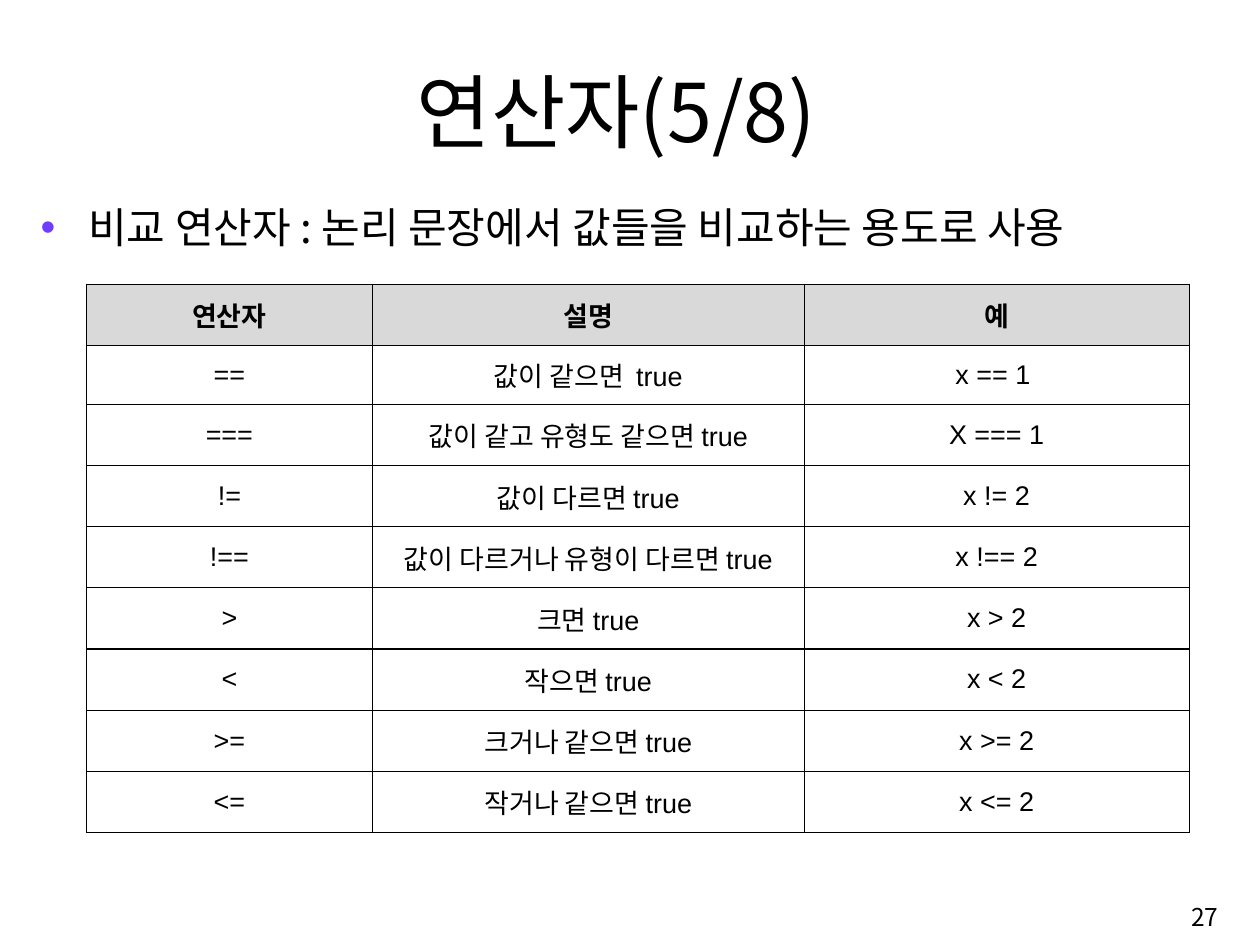
"""Build the slide on comparison operators: title, bullet, table and page number."""
from lxml import etree
from pptx import Presentation
from pptx.dml.color import RGBColor
from pptx.enum.text import MSO_ANCHOR, MSO_AUTO_SIZE, PP_ALIGN
from pptx.oxml.ns import qn
from pptx.util import Inches, Pt

LEFT, MID, RIGHT = PP_ALIGN.LEFT, PP_ALIGN.CENTER, PP_ALIGN.RIGHT
TOP, CORE, BASE = MSO_ANCHOR.TOP, MSO_ANCHOR.MIDDLE, MSO_ANCHOR.BOTTOM
FIXED = MSO_AUTO_SIZE.NONE
SANS, ARIAL = "Noto Sans CJK KR", "Arial"
COLORS = {"ink": "000000", "head": "D9D9D9", "dot": "703DFF"}


def add_fill(node, color):
    fill = etree.SubElement(node, qn("a:solidFill"))
    etree.SubElement(fill, qn("a:srgbClr"), val=COLORS[color])


def write(frame, text, face, size, align, bold=False):
    par = frame.paragraphs[0]
    par.alignment = align
    run = par.add_run()
    run.text = text
    form = {"name": face, "size": Pt(size), "bold": bold}
    for key, val in form.items():
        setattr(run.font, key, val)
    run.font.color.rgb = RGBColor.from_string(COLORS["ink"])
    if face == SANS:
        etree.SubElement(run.font._element, qn("a:ea"), typeface=face)
    return par


deck = Presentation()
deck.slide_width, deck.slide_height = Inches(12.99), Inches(9.74)
slide = deck.slides.add_slide(deck.slide_layouts[1])
title, body = slide.placeholders
page = slide.shapes.add_textbox(0, 0, 0, 0)

texts = [
    (title, (1.05, 0.61, 10.61, 1.08), BASE, "연산자(5/8)", 60, MID),
    (body, (0.32, 2.03, 12.32, 7.06), TOP,
     "비교 연산자 : 논리 문장에서 값들을 비교하는 용도로 사용", 31.2, LEFT),
    (page, (9.98, 9.15, 2.68, 0.6), CORE, "27", 18.2, RIGHT),
]
for shape, box, anchor, text, size, align in texts:
    for key, val in zip(("left", "top", "width", "height"), box):
        setattr(shape, key, Inches(val))
    frame = shape.text_frame
    form = {"word_wrap": True, "auto_size": FIXED, "vertical_anchor": anchor}
    for key, val in form.items():
        setattr(frame, key, val)
    write(frame, text, SANS, size, align)

props = body.text_frame.paragraphs[0]._p.get_or_add_pPr()
props.set("marL", str(Inches(0.49)))
props.set("indent", str(-Inches(0.49)))
gap = etree.SubElement(props, qn("a:spcBef"))
etree.SubElement(gap, qn("a:spcPct"), val="20000")
tint = etree.SubElement(props, qn("a:buClr"))
etree.SubElement(tint, qn("a:srgbClr"), val=COLORS["dot"])
etree.SubElement(props, qn("a:buFont"), typeface=ARIAL)
etree.SubElement(props, qn("a:buChar"), char="•")

rows = [
    ("연산자", "설명", "예"),
    ("==", "값이 같으면  true", "x == 1 "),
    ("===", "값이 같고 유형도 같으면 true", "X === 1"),
    ("!=", "값이 다르면 true", "x != 2"),
    ("!==", "값이 다르거나 유형이 다르면 true", "x !== 2"),
    (">", "크면 true", "x > 2"),
    ("<", "작으면 true", "x < 2"),
    (">=", "크거나 같으면 true", "x >= 2"),
    ("<=", "작거나 같으면 true", "x <= 2"),
]
widths = (2.95, 4.45, 3.97)
table = slide.shapes.add_table(
    len(rows), len(widths), Inches(0.89), Inches(2.93),
    Inches(11.38), Inches(5.64)).table
table.horz_banding = False
for col, width in zip(table.columns, widths):
    col.width = Inches(width)

margins = {"margin_left": 0.13, "margin_right": 0.13,
           "margin_top": 0.06, "margin_bottom": 0.06}
for r, words in enumerate(rows):
    table.rows[r].height = Inches(0.61 if r == 1 else 0.63)
    for c, text in enumerate(words):
        cell = table.cell(r, c)
        cell.vertical_anchor = CORE
        for key, val in margins.items():
            setattr(cell, key, Inches(val))
        write(cell.text_frame, text, ARIAL, 20, MID, r == 0)
        props = cell._tc.get_or_add_tcPr()
        for side in ("lnL", "lnR", "lnT", "lnB"):
            edge = etree.SubElement(props, qn(f"a:{side}"), w=str(Pt(1)))
            add_fill(edge, "ink")
        if r == 0:
            add_fill(props, "head")
        else:
            cell.fill.background()

deck.save("out.pptx")
